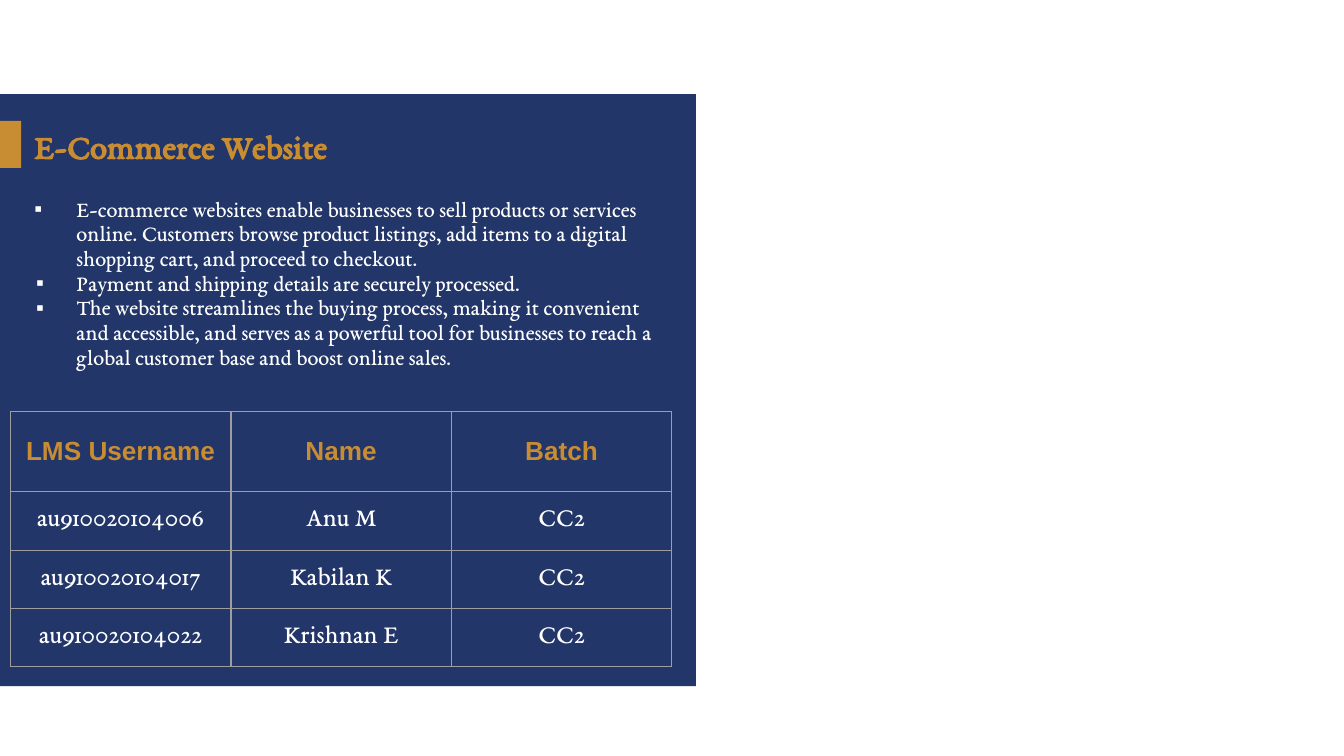
from dataclasses import dataclass

from lxml.etree import SubElement
from pptx import Presentation
from pptx.dml.color import RGBColor
from pptx.enum.shapes import MSO_SHAPE
from pptx.enum.text import MSO_ANCHOR as Anchor, PP_ALIGN as Align
from pptx.oxml.ns import qn
from pptx.util import Pt

TITLE = "E-Commerce Website"
POINTS = [
    "E-commerce websites enable businesses to sell products or services online. "
    "Customers browse product listings, add items to a digital shopping cart, "
    "and proceed to checkout.",
    "Payment and shipping details are securely processed.",
    "The website streamlines the buying process, making it convenient and "
    "accessible, and serves as a powerful tool for businesses to reach a global "
    "customer base and boost online sales.",
]
MEMBERS = [
    ("LMS Username", "Name", "Batch"),
    ("au910020104006", "Anu M", "CC2"),
    ("au910020104017", "Kabilan K", "CC2"),
    ("au910020104022", "Krishnan E", "CC2"),
]


@dataclass(frozen=True)
class Theme:
    navy: str = "223669"
    gold: str = "C88C32"
    white: str = "FFFFFF"
    grid: str = "9E9E9E"
    serif: str = "EB Garamond"
    sans: str = "Arial"
    title: float = 18.3
    body: float = 12
    cell: float = 14


T = Theme()


def add_rect(shapes, box, color):
    s = shapes.add_shape(MSO_SHAPE.RECTANGLE, *map(Pt, box))
    s.shadow.inherit = False
    s.fill.solid()
    s.fill.fore_color.rgb = RGBColor.from_string(color)
    s.line.fill.background()


def write(p, text, size, color=T.white, font=T.serif, bold=False, align=Align.LEFT):
    p.alignment = align
    r = p.add_run()
    r.text = text
    r.font.name = font
    r.font.size = Pt(size)
    r.font.bold = bold
    r.font.color.rgb = RGBColor.from_string(color)


def add_box(shapes, box, anchor):
    tf = shapes.add_textbox(*map(Pt, box)).text_frame
    tf.word_wrap = True
    tf.vertical_anchor = anchor
    return tf


def add_bullet(p, indent):
    pPr = p._p.get_or_add_pPr()
    pPr.set("marL", str(Pt(22.5)))
    pPr.set("indent", str(-Pt(indent)))
    color = SubElement(pPr, qn("a:buClr"))
    SubElement(color, qn("a:srgbClr"), val=T.white)
    SubElement(pPr, qn("a:buFont"), typeface=T.sans)
    SubElement(pPr, qn("a:buChar"), char="▪")


def add_borders(cell):
    tcPr = cell._tc.get_or_add_tcPr()
    for i, side in enumerate(("lnL", "lnR", "lnT", "lnB")):
        ln = tcPr.makeelement(qn(f"a:{side}"), {"w": str(Pt(0.75))})
        fill = SubElement(ln, qn("a:solidFill"))
        SubElement(fill, qn("a:srgbClr"), val=T.grid)
        tcPr.insert(i, ln)


def add_members(shapes, left, top, col_width, row_heights):
    cols = len(MEMBERS[0])
    table = shapes.add_table(
        len(MEMBERS), cols, Pt(left), Pt(top),
        Pt(col_width * cols), Pt(sum(row_heights)),
    ).table
    table.first_row = table.horz_banding = False
    for col in table.columns:
        col.width = Pt(col_width)
    for i, (row, height) in enumerate(zip(MEMBERS, row_heights)):
        table.rows[i].height = Pt(height)
        look = dict(color=T.gold, font=T.sans, bold=True) if i == 0 else {}
        for j, text in enumerate(row):
            cell = table.cell(i, j)
            cell.fill.background()
            cell.vertical_anchor = Anchor.MIDDLE
            cell.margin_left = cell.margin_right = Pt(7.2)
            cell.margin_top = cell.margin_bottom = Pt(7.2)
            write(cell.text_frame.paragraphs[0], text, T.cell, align=Align.CENTER, **look)
            add_borders(cell)


def main():
    prs = Presentation()
    prs.slide_width, prs.slide_height = Pt(720), Pt(405)
    shapes = prs.slides.add_slide(prs.slide_layouts[6]).shapes

    add_rect(shapes, (0, 50.4, 372.8, 317.2), T.navy)
    add_rect(shapes, (0, 64.8, 11.4, 25.2), T.gold)

    tf = add_box(shapes, (11.4, 64, 269.3, 27.4), Anchor.MIDDLE)
    write(tf.paragraphs[0], TITLE, T.title, T.gold, bold=True)

    tf = add_box(shapes, (11.4, 102.2, 357.8, 113), Anchor.TOP)
    for i, text in enumerate(POINTS):
        p = tf.add_paragraph() if i else tf.paragraphs[0]
        p.line_spacing = 0.92
        add_bullet(p, 21.6 if i else 22.5)
        write(p, text, T.body)

    add_members(shapes, 5.6, 220.3, 118.1, [43.2, 31.1, 31.1, 31.1])
    prs.save("out.pptx")


if __name__ == "__main__":
    main()
